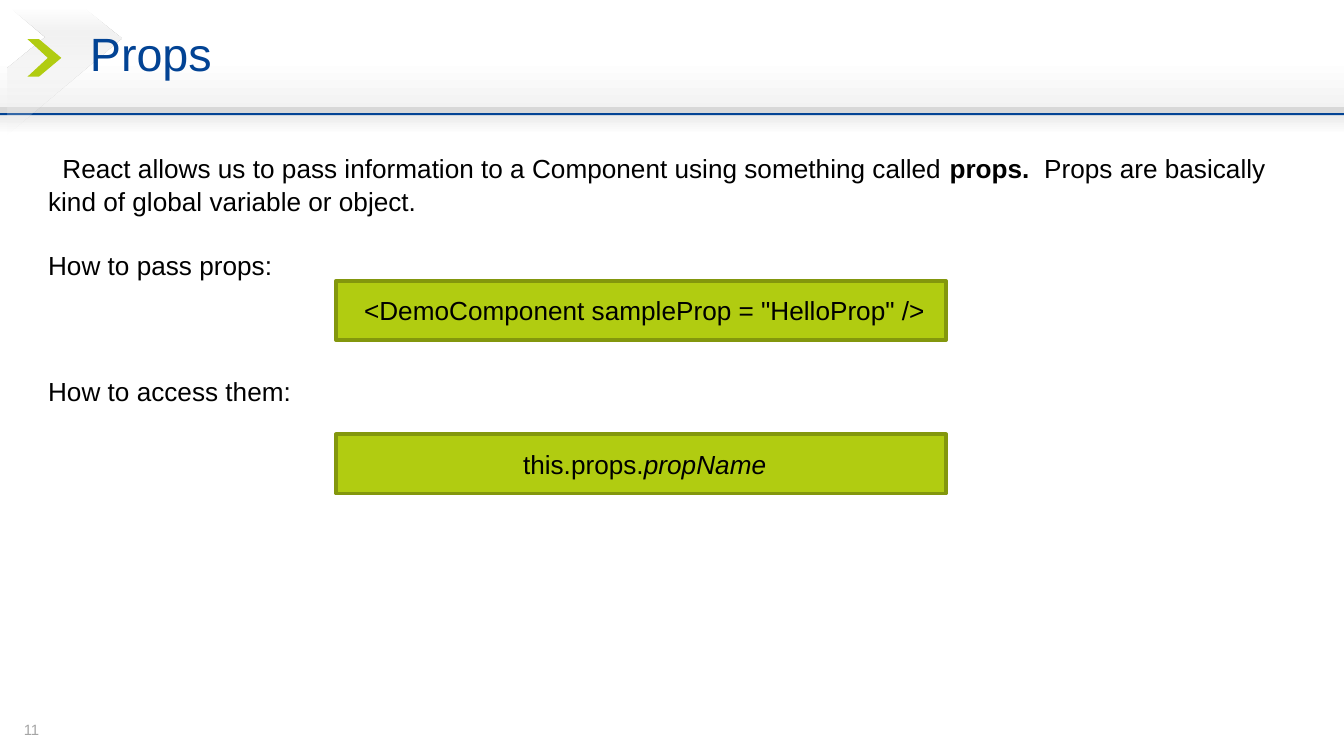
from lxml import etree
from pptx import Presentation
from pptx import util as u
from pptx.dml import color
from pptx.enum import shapes, text
from pptx.oxml import ns

BLUE, GREEN, OLIVE, BLACK = "024394", "B1CC11", "83970D", "000000"
SILVER, GREY = "D8D8D8", "A5A5A5"
BAND_STOPS = [(0, "FFFFFF", 100), (39, "FFFFFF", 100), (100, "F2F2F2", 100)]
SHADE_STOPS = [(0, "E8E8E8", 100), (100, "FFFFFF", 100)]
CHEVRON_STOPS = [(0, "F2F2F2", 0), (2, "F2F2F2", 0), (20, "F2F2F2", 100), (100, "F2F2F2", 0)]
LARGE_CHEVRON = [(0.01, 0), (0.65, 0), (1, 0.25), (0, 1), (0, 0.48), (0.33, 0.24)]
SMALL_CHEVRON = [(0.34, 1), (0, 1), (0.6, 0.5), (0, 0), (0.34, 0), (1, 0.5)]


def rgb(value):
    """Turn a hex string into a colour."""
    return color.RGBColor.from_string(value)


def assign(target, **values):
    """Set attributes of an object from format values."""
    for name, value in values.items():
        setattr(target, name, value)


def fill_plain(shape, fill):
    """Fill a shape with one colour, without line or shadow."""
    shape.shadow.inherit = False
    shape.fill.solid()
    shape.fill.fore_color.rgb = rgb(fill)
    shape.line.fill.background()


def fill_gradient(shape, stops):
    """Fill a shape from top to bottom with (percent, colour, opacity) stops."""
    fill_plain(shape, "FFFFFF")
    solid = shape.element.spPr.find(ns.qn("a:solidFill"))
    gradient = etree.Element(ns.qn("a:gradFill"), rotWithShape="1")
    stop_list = etree.SubElement(gradient, ns.qn("a:gsLst"))
    for percent, value, opacity in stops:
        stop = etree.SubElement(stop_list, ns.qn("a:gs"), pos=str(percent * 1000))
        tone = etree.SubElement(stop, ns.qn("a:srgbClr"), val=value)
        etree.SubElement(tone, ns.qn("a:alpha"), val=str(opacity * 1000))
    etree.SubElement(gradient, ns.qn("a:lin"), ang="5400000", scaled="0")
    solid.getparent().replace(solid, gradient)


def add_rectangle(page, box):
    """Add a rectangle in a box given in centimetres."""
    return page.shapes.add_shape(shapes.MSO_SHAPE.RECTANGLE, *map(u.Cm, box))


def add_outline(page, box, points):
    """Add a closed outline whose points are fractions of the box."""
    left, top, width, height = box
    corners = [(u.Cm(left + x * width), u.Cm(top + y * height)) for x, y in points]
    builder = page.shapes.build_freeform(*corners[0])
    builder.add_line_segments(corners[1:], close=True)
    return builder.convert_to_shape()


def add_spans(para, spans, size, value):
    """Write (text, format) spans into a paragraph."""
    for words, style in spans:
        span = para.add_run()
        span.text = words
        assign(span.font, name="Arial", size=u.Pt(size), **style)
        span.font.color.rgb = rgb(value)


def add_header(page, box, words):
    """Draw the header band with its chevrons and the title."""
    left, top, width, height = box
    rule = top + height
    fill_gradient(add_rectangle(page, (left, rule + 0.05, width, 0.41)), SHADE_STOPS)
    fill_gradient(add_rectangle(page, box), BAND_STOPS)
    fill_plain(add_rectangle(page, (left, rule - 0.03, width, 0.13)), BLUE)
    line = page.shapes.add_connector(
        shapes.MSO_CONNECTOR.STRAIGHT, *map(u.Cm, (left, rule, left + width, rule)))
    etree.SubElement(line.element.spPr, ns.qn("a:effectLst"))
    line.line.color.rgb = rgb(SILVER)
    line.line.width = u.Pt(3.5)
    large = add_outline(page, (left + 0.15, top - 0.35, 2.14, 2.41), LARGE_CHEVRON)
    fill_gradient(large, CHEVRON_STOPS)
    small = add_outline(page, (left + 0.52, top + 0.26, 0.64, 0.71), SMALL_CHEVRON)
    fill_plain(small, GREEN)

    title = page.shapes.title
    title.element.getparent().append(title.element)
    assign(title, left=u.Cm(left + 1.47), top=u.Cm(top + 0.05),
           width=u.Cm(width - 2.31), height=u.Cm(1.14))
    assign(title.text_frame, vertical_anchor=text.MSO_ANCHOR.MIDDLE, word_wrap=True,
           auto_size=text.MSO_AUTO_SIZE.NONE, margin_left=u.Cm(0.23),
           margin_right=u.Cm(0.23), margin_top=u.Cm(0.1), margin_bottom=u.Cm(0.1))
    para = title.text_frame.paragraphs[0]
    assign(para, alignment=text.PP_ALIGN.LEFT, line_spacing=0.8)
    add_spans(para, [(words, {})], 25, BLUE)


def add_text(page, box, paras, size, value):
    """Add a text box of (space before, first indent, spans) paragraphs."""
    frame = page.shapes.add_textbox(*map(u.Cm, box)).text_frame
    frame.word_wrap = True
    for index, (space, indent, spans) in enumerate(paras):
        para = frame.add_paragraph() if index else frame.paragraphs[0]
        assign(para, space_before=u.Pt(space), line_spacing=1.04)
        para._p.get_or_add_pPr().set("indent", str(u.Cm(indent)))
        add_spans(para, spans, size, value)


def add_code(page, box, spans):
    """Add a green panel with one centred line of code."""
    panel = add_rectangle(page, box)
    fill_plain(panel, GREEN)
    panel.line.color.rgb = rgb(OLIVE)
    panel.line.width = u.Pt(2)
    assign(panel.text_frame, word_wrap=True, margin_left=u.Cm(0.39),
           vertical_anchor=text.MSO_ANCHOR.MIDDLE)
    para = panel.text_frame.paragraphs[0]
    para.alignment = text.PP_ALIGN.CENTER
    add_spans(para, spans, 14, BLACK)


def main():
    """Build the deck with its one slide."""
    deck = Presentation()
    assign(deck, slide_width=u.Cm(25.4), slide_height=u.Cm(14.29))
    page = deck.slides.add_slide(deck.slide_layouts[5])
    add_header(page, (0, 0.48, 25.4, 1.6), "Props")
    add_text(page, (0.2, 13.49, 1.9, 0.76), [(0, 0, [("11", {})])], 8, GREY)
    explanation = [
        (0, 0.27, [
            ("React allows us to pass information to a Component using something called ", {}),
            ("props. ", {"bold": True}),
            (" Props are basically kind of global variable or object.", {})]),
        (16.7, 0, [("How to pass props:", {})]),
        (50.2, 0, [("How to access them:", {})]),
    ]
    add_text(page, (0.66, 2.74, 23.9, 7.44), explanation, 14, BLACK)
    codes = [
        [('<DemoComponent sampleProp = "HelloProp" />', {})],
        [("this.props.", {}), ("propName", {"italic": True})],
    ]
    for index, spans in enumerate(codes):
        add_code(page, (6.35, 5.31 + index * 2.9, 11.53, 1.12), spans)
    deck.save("out.pptx")


if __name__ == "__main__":
    main()
